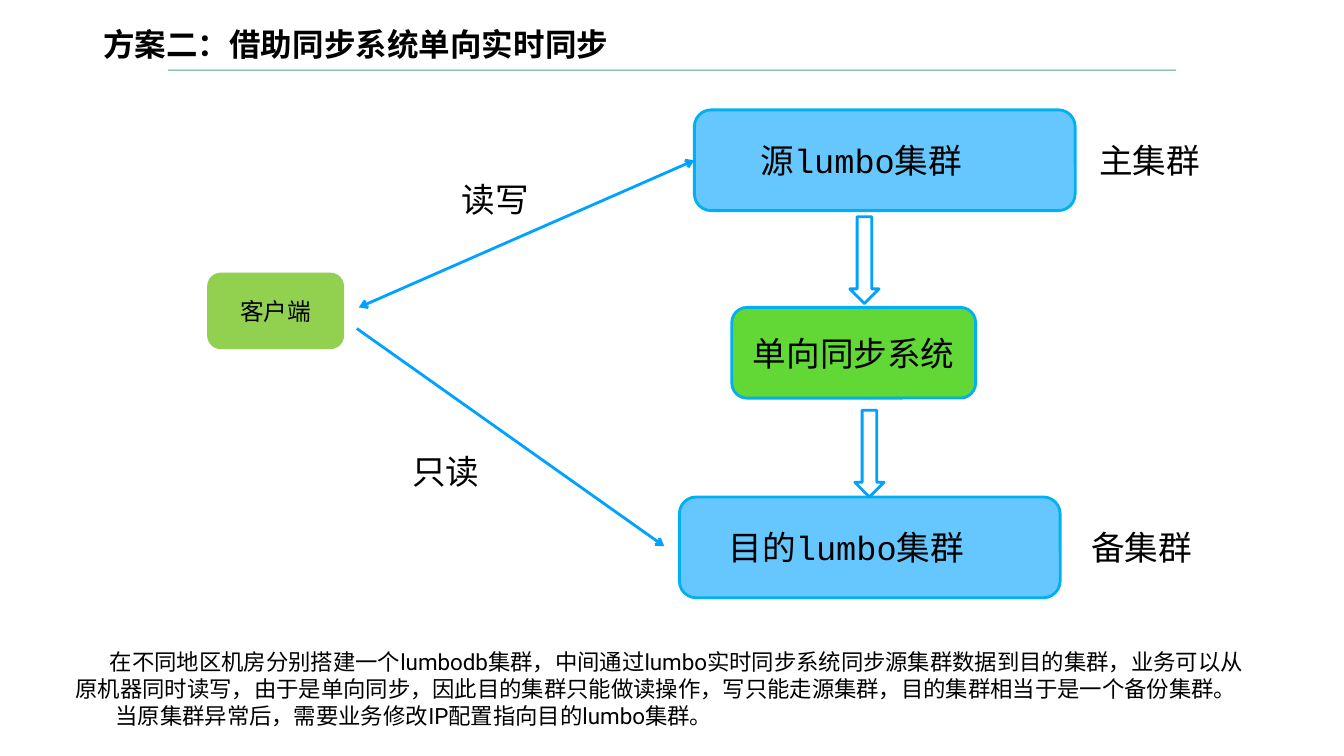
from lxml.etree import SubElement
from pptx import Presentation
from pptx.dml.color import RGBColor
from pptx.enum.shapes import MSO_CONNECTOR, MSO_SHAPE
from pptx.enum.text import MSO_ANCHOR, PP_ALIGN
from pptx.oxml import parse_xml
from pptx.oxml.ns import nsdecls, qn
from pptx.util import Pt

LINE_BLUE = "00A2FF"
BORDER_BLUE = "00B0F0"
CLUSTER_BLUE = "66C7FF"
SYNC_GREEN = "61D836"
CLIENT_GREEN = "92D050"
CJK_FONT = "Noto Sans CJK SC"


def color(value):
    return RGBColor.from_string(value)


def write(para, text, size=24, font="Roboto", bold=False, align=PP_ALIGN.CENTER):
    """Add one formatted span, using the font for Latin and Chinese alike."""
    para.alignment = align
    span = para.add_run()
    span.text = text
    span.font.size = Pt(size)
    span.font.bold = bold
    span.font.color.rgb = color("000000")
    span.font.name = font
    latin = span.font._element.find(qn("a:latin"))
    latin.addnext(parse_xml(f'<a:ea {nsdecls("a")} typeface="{font}"/>'))


def set_frame(frame, anchor=MSO_ANCHOR.MIDDLE, inset=3, right_inset=None):
    frame.word_wrap = True
    frame.vertical_anchor = anchor
    frame.margin_left = frame.margin_top = frame.margin_bottom = Pt(inset)
    frame.margin_right = Pt(inset if right_inset is None else right_inset)


def add_block(page, kind, left, top, width, height, fill, border=None):
    block = page.shapes.add_shape(kind, Pt(left), Pt(top), Pt(width), Pt(height))
    block.shadow.inherit = False
    block.fill.solid()
    block.fill.fore_color.rgb = color(fill)
    if border:
        block.line.color.rgb = color(border)
        block.line.width = Pt(2)
    else:
        block.line.fill.background()
    return block


def add_node(page, text, left, top, width, height, fill, border=BORDER_BLUE,
             right_inset=3, **text_format):
    node = add_block(page, MSO_SHAPE.ROUNDED_RECTANGLE, left, top, width, height,
                     fill, border)
    set_frame(node.text_frame, right_inset=right_inset)
    write(node.text_frame.paragraphs[0], text, **text_format)
    return node


def add_label(page, text, left, top, width):
    box = page.shapes.add_textbox(Pt(left), Pt(top), Pt(width), Pt(36.7))
    set_frame(box.text_frame, inset=4)
    write(box.text_frame.paragraphs[0], text)


def add_arrow(page, start, end, both_ways=False):
    arrow = page.shapes.add_connector(MSO_CONNECTOR.STRAIGHT, *map(Pt, start + end))
    arrow.line.color.rgb = color(LINE_BLUE)
    arrow.line.width = Pt(2)
    line = arrow.line._get_or_add_ln()
    for tag in ["a:headEnd", "a:tailEnd"] if both_ways else ["a:tailEnd"]:
        SubElement(line, qn(tag), type="arrow")
    SubElement(arrow._element.spPr, qn("a:effectLst"))
    return arrow


def add_heading(page, left, top, width, height):
    title = page.shapes.title
    title.left, title.top, title.width, title.height = map(
        Pt, (left, top, width, height))
    set_frame(title.text_frame, MSO_ANCHOR.TOP)
    write(title.text_frame.paragraphs[0], "方案二：借助同步系统单向实时同步",
          size=22.5, font=CJK_FONT, bold=True, align=PP_ALIGN.LEFT)
    # Thin rule under the title
    add_block(page, MSO_SHAPE.RECTANGLE, left + 49.6, top + 34.7, 720, 0.72, "4EA47E")


def add_cluster(page, name, role, left, top, role_offset):
    """A cluster node with its role written to the right."""
    cluster = add_node(page, name, left, top, 272, 72, CLUSTER_BLUE,
                       right_inset=36.6, font="Courier New")
    add_label(page, role, left + role_offset, top + 17.5, 94.3)
    return cluster


def add_diagram(page, left, top):
    # Clusters and the system that joins them
    source = add_cluster(page, "源lumbo集群", "主集群", left + 347, top, 278)
    add_cluster(page, "目的lumbo集群", "备集群", left + 336.3, top + 276.5, 283)
    add_node(page, "单向同步系统", left + 373.7, top + 141.1, 174.2, 64.8,
             SYNC_GREEN, font="Courier New")
    for x, y in [(458, 76.3), (461.6, 214.5)]:
        add_block(page, MSO_SHAPE.DOWN_ARROW, left + x, top + y, 20.9, 62,
                  "FFFFFF", LINE_BLUE)

    # Client and its access paths
    add_node(page, "客户端", left, top + 117.3, 95.8, 52.6, CLIENT_GREEN,
             border=CLIENT_GREEN, size=16.9, font=CJK_FONT)
    read_write = add_arrow(page, (left + 107.3, top + 141.1),
                           (left + 347, top + 36), both_ways=True)
    read_write.end_connect(source, 1)
    add_arrow(page, (left + 105.9, top + 156.2), (left + 325.5, top + 311.7))
    add_label(page, "读写", left + 164.9, top + 45.3, 80)
    add_label(page, "只读", left + 129.6, top + 239.7, 80)


def add_description(page, left, top, width, height):
    box = page.shapes.add_textbox(Pt(left), Pt(top), Pt(width), Pt(height))
    set_frame(box.text_frame, MSO_ANCHOR.TOP, inset=4.3)
    paragraphs = [
        ("在不同地区机房分别搭建一个lumbodb集群，中间通过lumbo实时同步系统同步源集群数据到"
         "目的集群，业务可以从原机器同时读写，由于是单向同步，因此目的集群只能做读操作，"
         "写只能走源集群，目的集群相当于是一个备份集群。", 24.5),
        ("当原集群异常后，需要业务修改IP配置指向目的lumbo集群。", 28.5),
    ]
    for index, (text, indent) in enumerate(paragraphs):
        frame = box.text_frame
        para = frame.add_paragraph() if index else frame.paragraphs[0]
        write(para, text, size=16, align=PP_ALIGN.LEFT)
        properties = para._p.get_or_add_pPr()
        properties.set("marL", "0")
        properties.set("indent", str(Pt(indent)))


def main():
    deck = Presentation()
    deck.slide_width, deck.slide_height = Pt(960), Pt(540)
    page = deck.slides.add_slide(deck.slide_layouts[5])
    add_heading(page, 70.6, 15.1, 776, 32.4)
    add_diagram(page, 149, 78.5)
    add_description(page, 49.7, 458.6, 846, 77.8)
    deck.save("out.pptx")


if __name__ == "__main__":
    main()
